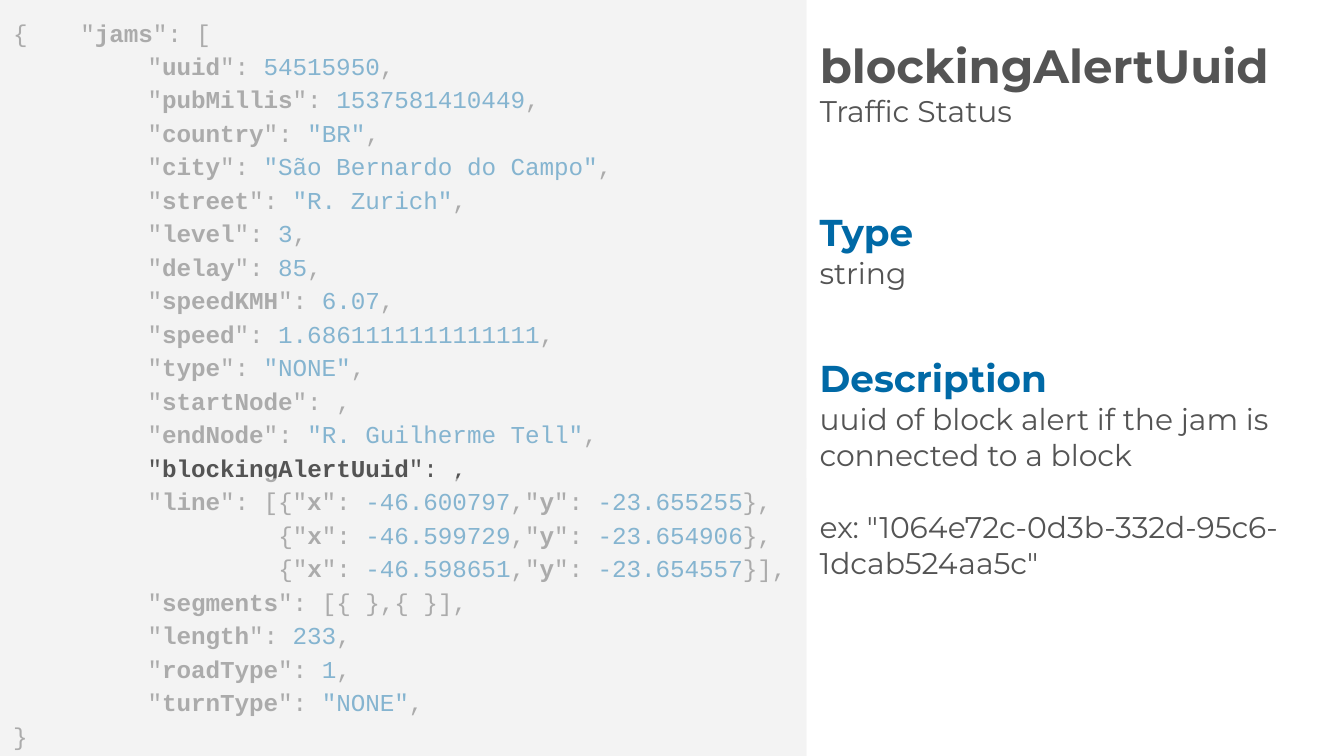
from lxml import etree
from pptx import Presentation
from pptx.dml.color import RGBColor
from pptx.enum.shapes import MSO_SHAPE
from pptx.enum.text import MSO_ANCHOR, MSO_AUTO_SIZE, PP_ALIGN
from pptx.oxml.ns import qn
from pptx.util import Pt

RECT = MSO_SHAPE.RECTANGLE
TOP, MIDDLE = MSO_ANCHOR.TOP, MSO_ANCHOR.MIDDLE
LEFT = PP_ALIGN.LEFT
NO_FIT = MSO_AUTO_SIZE.NONE

COLORS = {"panel": "F3F3F3", "text": "545454", "accent": "0069A6"}
CODE_FONT, TEXT_FONT = "Courier New", "Montserrat"
WIDTH, HEIGHT, PANEL_W = 720, 405, 432
INSET, INDENT = 7.2, 72
FADE_TOP_END, FADE_BOTTOM_START = 240.5, 256.3

FIELDS_BEFORE = [
    ("uuid", "54515950"),
    ("pubMillis", "1537581410449"),
    ("country", '"BR"'),
    ("city", '"São Bernardo do Campo"'),
    ("street", '"R. Zurich"'),
    ("level", "3"),
    ("delay", "85"),
    ("speedKMH", "6.07"),
    ("speed", "1.6861111111111111"),
    ("type", '"NONE"'),
    ("startNode", ""),
    ("endNode", '"R. Guilherme Tell"'),
    ("blockingAlertUuid", ""),
]
POINTS = [
    ("-46.600797", "-23.655255", "},"),
    ("-46.599729", "-23.654906", "},"),
    ("-46.598651", "-23.654557", "}],"),
]
FIELDS_AFTER = [("length", "233"), ("roadType", "1"), ("turnType", '"NONE"')]

TITLE = [("blockingAlertUuid", 25, True), ("Traffic Status", 16, False)]
SECTIONS = [
    (105, 139, 36, "Type", 20, "accent"),
    (129, 259, 63, "string", 16, "text"),
    (183, 139, 36, "Description", 20, "accent"),
    (207.4, 288, 189,
     "uuid of block alert if the jam is connected to a block\n"
     'ex: "1064e72c-0d3b-332d-95c6-1dcab524aa5c"', 16, "text"),
]
PARAGRAPH_GAP = 19.5


def rgb(name):
    return RGBColor.from_string(COLORS[name])


def style(font, name, size, color, bold=False):
    font.name, font.size, font.bold = name, Pt(size), bold
    font.color.rgb = rgb(color)


def setup(tf, anchor=TOP):
    tf.word_wrap = True
    tf.auto_size = NO_FIT
    tf.vertical_anchor = anchor
    tf.margin_left = tf.margin_right = Pt(INSET)
    tf.margin_top = tf.margin_bottom = Pt(INSET)


def add_panel(slide, top, height, alpha=None):
    s = slide.shapes.add_shape(RECT, 0, Pt(top), Pt(PANEL_W), Pt(height))
    s.shadow.inherit = False
    s.line.fill.background()
    s.fill.solid()
    s.fill.fore_color.rgb = rgb("panel")
    if alpha:
        color = s.fill._xPr.find(".//" + qn("a:srgbClr"))
        etree.SubElement(color, qn("a:alpha"), val=str(alpha * 1000))
    return s


def add_code_line(p, lead, entries, indent=INDENT):
    pPr = p._p.get_or_add_pPr()
    pPr.set("marL", str(Pt(indent)))
    pPr.set("indent", "0")
    p.alignment = LEFT
    p.line_spacing = 1.15
    if "\t" in lead:
        tabs = etree.SubElement(pPr, qn("a:tabLst"))
        etree.SubElement(tabs, qn("a:tab"), pos=str(Pt(INDENT)), algn="l")
    parts = [(lead, "text", False)]
    for key, value, tail in entries:
        parts += [('"', "text", False), (key, "text", True),
                  ('": ', "text", False), (value, "accent", False),
                  (tail, "text", False)]
    for text, color, bold in parts:
        if text:
            r = p.add_run()
            r.text = text
            style(r.font, CODE_FONT, 13, color, bold)


def code_lines():
    def simple(fields):
        return [("", [(key, value, ",")], INDENT) for key, value in fields]

    lines = [("{\t", [("jams", "", "[")], 0)] + simple(FIELDS_BEFORE)
    for i, (x, y, tail) in enumerate(POINTS):
        point = [("x", x, ","), ("y", y, tail)]
        if i == 0:
            lines.append(("", [("line", "", "[{")] + point, INDENT))
        else:
            lines.append(("         {", point, INDENT))
    lines.append(("", [("segments", "", "[{ },{ }],")], INDENT))
    return lines + simple(FIELDS_AFTER) + [("}", [], 0)]


def main():
    prs = Presentation()
    prs.slide_width, prs.slide_height = Pt(WIDTH), Pt(HEIGHT)
    slide = prs.slides.add_slide(prs.slide_layouts[5])

    tf = add_panel(slide, 0, HEIGHT).text_frame
    setup(tf)
    for i, line in enumerate(code_lines()):
        p = tf.add_paragraph() if i else tf.paragraphs[0]
        add_code_line(p, *line)

    title = slide.shapes.title
    title.left, title.top = Pt(PANEL_W), Pt(11.5)
    title.width, title.height = Pt(WIDTH - PANEL_W), Pt(66)
    tf = title.text_frame
    tf.text = "\n".join(text for text, size, bold in TITLE)
    setup(tf, MIDDLE)
    for p, (text, size, bold) in zip(tf.paragraphs, TITLE):
        p.alignment = LEFT
        style(p.runs[0].font, TEXT_FONT, size, "text", bold)

    for top, width, height, text, size, color in SECTIONS:
        s = slide.shapes.add_textbox(Pt(PANEL_W), Pt(top), Pt(width), Pt(height))
        tf = s.text_frame
        tf.text = text
        setup(tf)
        for i, p in enumerate(tf.paragraphs):
            if i:
                p.space_before = Pt(PARAGRAPH_GAP)
            style(p.runs[0].font, TEXT_FONT, size, color, color == "accent")

    add_panel(slide, FADE_BOTTOM_START, HEIGHT - FADE_BOTTOM_START, 55)
    add_panel(slide, 0, FADE_TOP_END, 55)
    prs.save("out.pptx")


if __name__ == "__main__":
    main()
